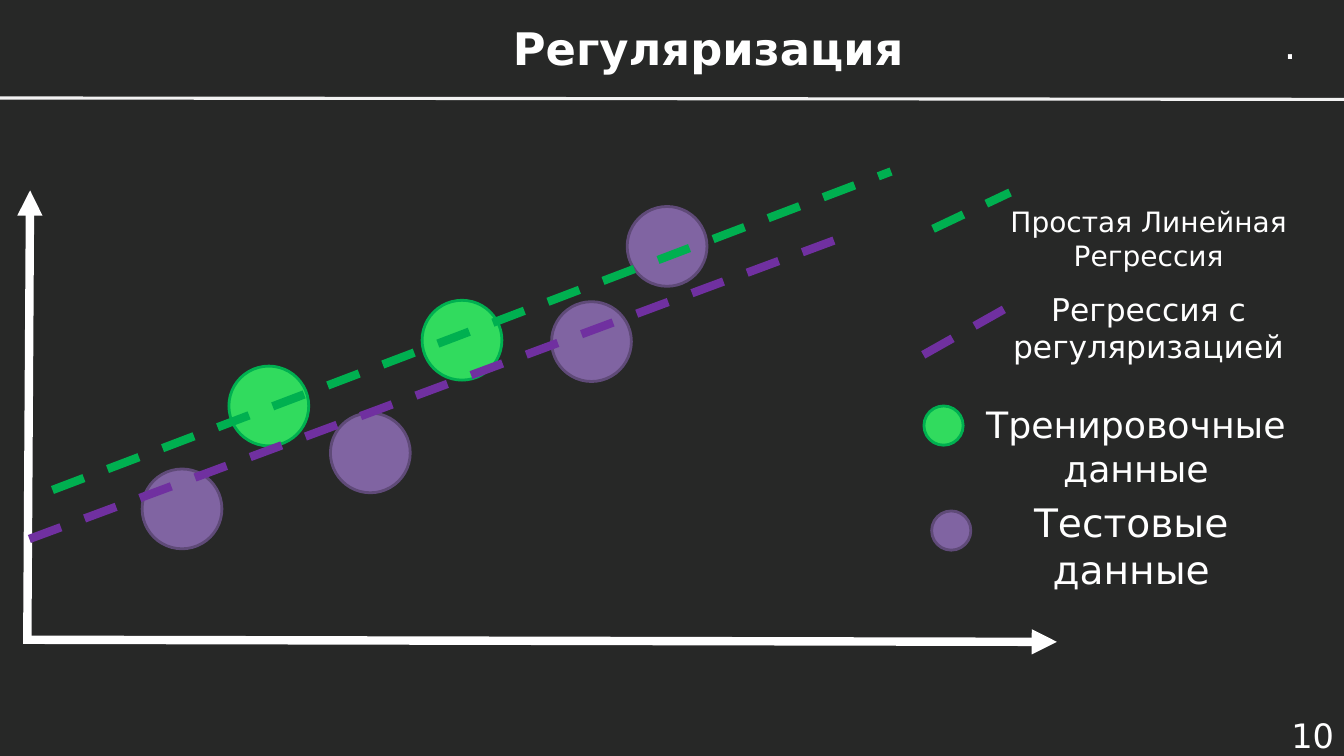
from pptx import Presentation
from pptx.dml.color import RGBColor
from pptx.enum import dml, shapes, text
from pptx.oxml import ns, xmlchemy
from pptx.util import Pt

FONT = "DejaVu Sans"
WHITE = "FFFFFF"
GREEN = "00B050"
PURPLE = "7030A0"
TRAIN = ("31DB5E", GREEN)
TEST = ("8064A2", "5F4A78")
CENTER = text.PP_ALIGN.CENTER
MIDDLE = text.MSO_ANCHOR.MIDDLE


def color(value):
    return RGBColor.from_string(value)


def add_text(page, words, left, top, width, height, size,
             align=CENTER, anchor=MIDDLE, bold=False, wrap=True):
    box = page.shapes.add_textbox(Pt(left), Pt(top), Pt(width), Pt(height))
    frame = box.text_frame
    frame.word_wrap = wrap
    frame.vertical_anchor = anchor
    para = frame.paragraphs[0]
    para.alignment = align
    span = para.add_run()
    span.text = words
    span.font.name = FONT
    span.font.size = Pt(size)
    span.font.bold = bold
    span.font.color.rgb = color(WHITE)


def add_line(page, start, end, paint, width=6, dashed=False, arrow=False):
    line = page.shapes.add_connector(
        shapes.MSO_CONNECTOR.STRAIGHT, *map(Pt, start + end))
    line.line.color.rgb = color(paint)
    line.line.width = Pt(width)
    if dashed:
        line.line.dash_style = dml.MSO_LINE.DASH
    if arrow:
        head = xmlchemy.OxmlElement("a:tailEnd")
        head.set("type", "triangle")
        line.line._get_or_add_ln().append(head)
    properties = line._element.find(ns.qn("p:spPr"))
    properties.append(xmlchemy.OxmlElement("a:effectLst"))


def add_dot(page, left, top, diameter, paints):
    fill, outline = paints
    dot = page.shapes.add_shape(
        shapes.MSO_SHAPE.OVAL, Pt(left), Pt(top), Pt(diameter), Pt(diameter))
    dot.shadow.inherit = False
    dot.fill.solid()
    dot.fill.fore_color.rgb = color(fill)
    dot.line.color.rgb = color(outline)
    dot.line.width = Pt(2)


def add_header(page):
    add_text(page, "10", 885, 510, 75, 30, 24, align=text.PP_ALIGN.RIGHT)
    add_line(page, (0, 70), (960, 71), "F2F2F2", 2.25)
    add_text(page, ".", 910, 11, 24.5, 41, 28, align=text.PP_ALIGN.LEFT,
             anchor=text.MSO_ANCHOR.TOP, wrap=False)
    add_text(page, "Регуляризация", 163, 1.5, 686, 65.5, 32, bold=True)


def add_plot(page):
    add_line(page, (21, 457), (755, 458.5), WHITE, arrow=True)
    add_line(page, (19.5, 460), (21.5, 136), WHITE, arrow=True)
    for left, top, paints in (
        (101.5, 335, TEST),
        (301.5, 214.5, TRAIN),
        (163.5, 261.5, TRAIN),
        (236, 295, TEST),
        (394, 215.5, TEST),
        (448, 147.5, TEST),
    ):
        add_dot(page, left, top, 57, paints)
    add_line(page, (37.5, 350), (636.5, 122.5), GREEN, dashed=True)
    add_line(page, (21, 385), (606, 168), PURPLE, dashed=True)


def add_legend(page):
    add_line(page, (666.5, 163.5), (721.5, 137.5), GREEN, dashed=True)
    add_line(page, (659.5, 253.5), (718, 220.5), PURPLE, dashed=True)
    add_dot(page, 660, 290, 28, TRAIN)
    add_dot(page, 665.5, 365, 28, TEST)
    for words, left, top, width, size in (
        ("Простая Линейная Регрессия", 713.5, 137.5, 214, 20),
        ("Регрессия с регуляризацией", 713.5, 201, 214, 22.4),
        ("Тренировочные данные", 696, 286, 231, 25.9),
        ("Тестовые данные", 701, 357, 214, 28),
    ):
        add_text(page, words, left, top, width, 65.5, size)


def main():
    deck = Presentation()
    deck.slide_width, deck.slide_height = Pt(960), Pt(540)
    page = deck.slides.add_slide(deck.slide_layouts[6])
    page.background.fill.solid()
    page.background.fill.fore_color.rgb = color("272827")
    add_header(page)
    add_plot(page)
    add_legend(page)
    deck.save("out.pptx")


if __name__ == "__main__":
    main()
